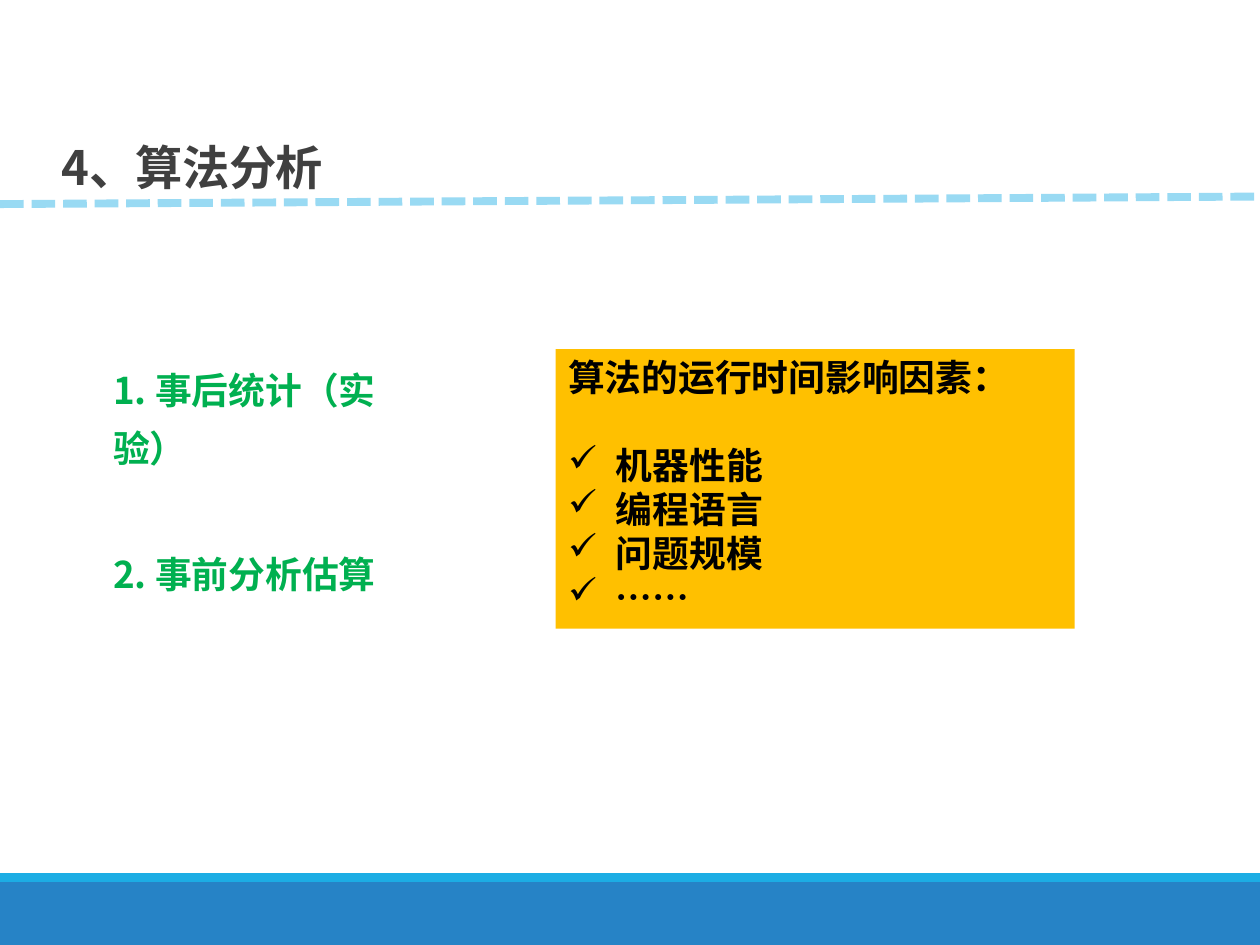
from dataclasses import dataclass

from lxml.etree import SubElement
from pptx import Presentation
from pptx.dml.color import RGBColor
from pptx.enum.dml import MSO_LINE
from pptx.enum.shapes import MSO_CONNECTOR, MSO_SHAPE
from pptx.enum.text import MSO_ANCHOR, PP_ALIGN
from pptx.oxml.ns import qn
from pptx.slide import Slide
from pptx.util import Inches, Pt

COLORS = {
    "band": "2683C6", "strip": "1CADE4", "method": "00B050",
    "panel": "FFC000", "ink": "000000", "title": "404040",
    "paper": "FFFFFF", "rule": "99DAF3",
}


@dataclass
class SlideBuilder:
    """Hold the style and the current slide, and draw each kind of element."""

    slide: Slide
    font: str = "Noto Sans CJK SC"
    size: float = 21
    leading: float = 25.1

    def color(self, name):
        return RGBColor.from_string(COLORS[name])

    def box(self, left, top, width, height, fill):
        shape = self.slide.shapes.add_shape(
            MSO_SHAPE.RECTANGLE, Inches(left), Inches(top), Inches(width), Inches(height))
        shape.shadow.inherit = False
        shape.fill.solid()
        shape.fill.fore_color.rgb = self.color(fill)
        shape.line.fill.background()
        frame = shape.text_frame
        frame.word_wrap = True
        frame.vertical_anchor = MSO_ANCHOR.TOP
        return frame

    def text_box(self, left, top, width, height):
        frame = self.slide.shapes.add_textbox(
            Inches(left), Inches(top), Inches(width), Inches(height)).text_frame
        frame.word_wrap = True
        return frame

    def add_text(self, paragraph, text, color, spacing, size=None):
        paragraph.alignment = PP_ALIGN.LEFT
        paragraph.line_spacing = spacing
        run = paragraph.add_run()
        run.text = text
        run.font.name = self.font
        run.font.size = Pt(size or self.size)
        run.font.bold = True
        run.font.color.rgb = self.color(color)
        SubElement(run.font._element, qn("a:ea"), typeface=self.font)
        return run

    def check_item(self, paragraph, text, color):
        self.add_text(paragraph, text, color, Pt(self.leading))
        properties = paragraph._p.get_or_add_pPr()
        properties.set("marL", str(Inches(0.38)))
        properties.set("indent", str(-Inches(0.38)))
        SubElement(properties, qn("a:buChar"), char="✓")

    def dashed_line(self, start, end, color, width):
        rule = self.slide.shapes.add_connector(
            MSO_CONNECTOR.STRAIGHT, *map(Inches, start + end))
        rule.line.color.rgb = self.color(color)
        rule.line.width = Pt(width)
        rule.line.dash_style = MSO_LINE.SQUARE_DOT
        SubElement(rule._element.spPr, qn("a:effectLst"))


def main():
    deck = Presentation()
    deck.slide_width, deck.slide_height = Inches(10), Inches(7.5)
    builder = SlideBuilder(deck.slides.add_slide(deck.slide_layouts[6]))

    builder.box(0, 7, 10, 0.5, "band")
    builder.box(0, 6.93, 10, 0.07, "strip")

    for top, method in ((2.77, "1. 事后统计（实验）"), (4.23, "2. 事前分析估算")):
        frame = builder.text_box(0.8, top, 2.64, 0.56)
        builder.add_text(frame.paragraphs[0], method, "method", Pt(builder.leading * 1.3))

    factors = builder.box(4.41, 2.77, 4.12, 2.22, "panel")
    heading = factors.paragraphs[0]
    builder.add_text(heading, "算法的运行时间影响因素：", "ink", Pt(builder.leading))
    heading.space_after = Pt(builder.leading)
    for factor in ("机器性能", "编程语言", "问题规模", "……"):
        builder.check_item(factors.add_paragraph(), factor, "ink")

    title = builder.box(0.39, 0.95, 3.46, 0.65, "paper")
    title.vertical_anchor = MSO_ANCHOR.BOTTOM
    title_run = builder.add_text(title.paragraphs[0], "4、算法分析", "title", 0.85, 27)
    title_run.font._element.set("spc", "-40")

    builder.dashed_line((0, 1.62), (10, 1.56), "rule", 4.5)
    deck.save("out.pptx")


if __name__ == "__main__":
    main()
